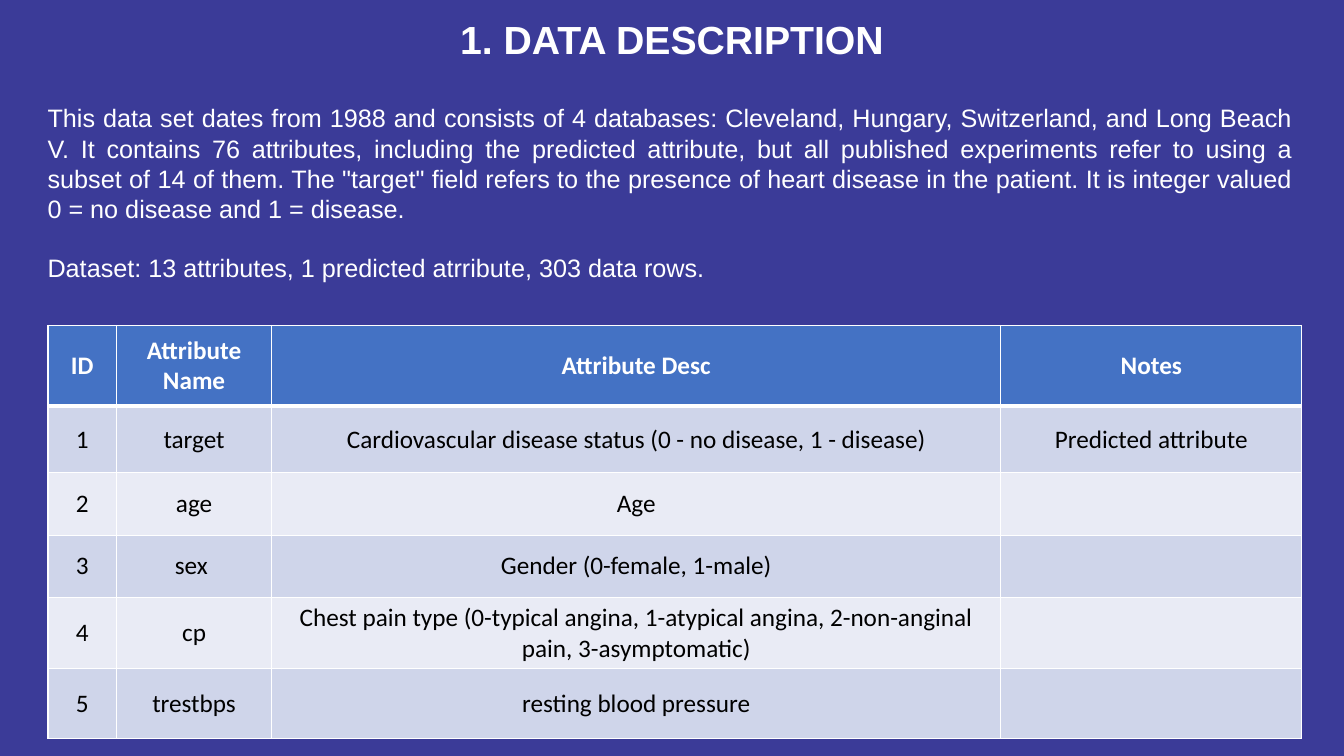
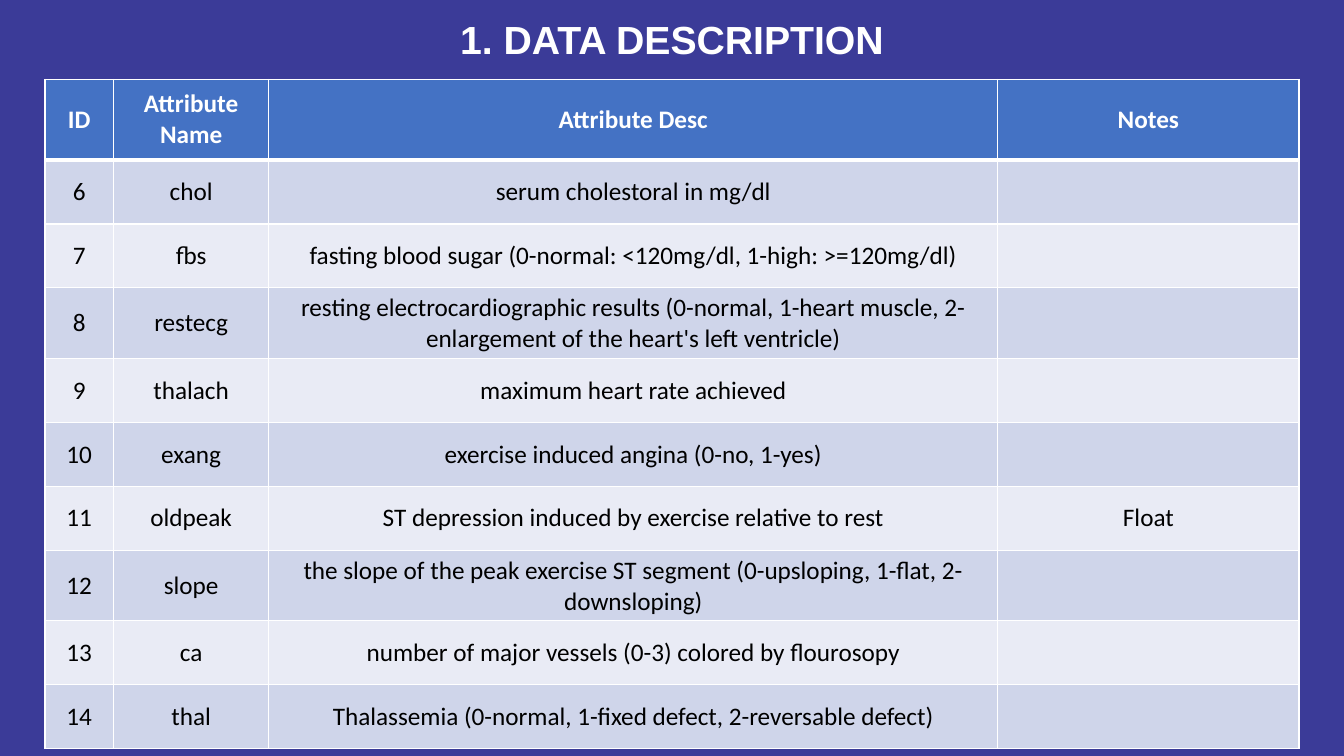
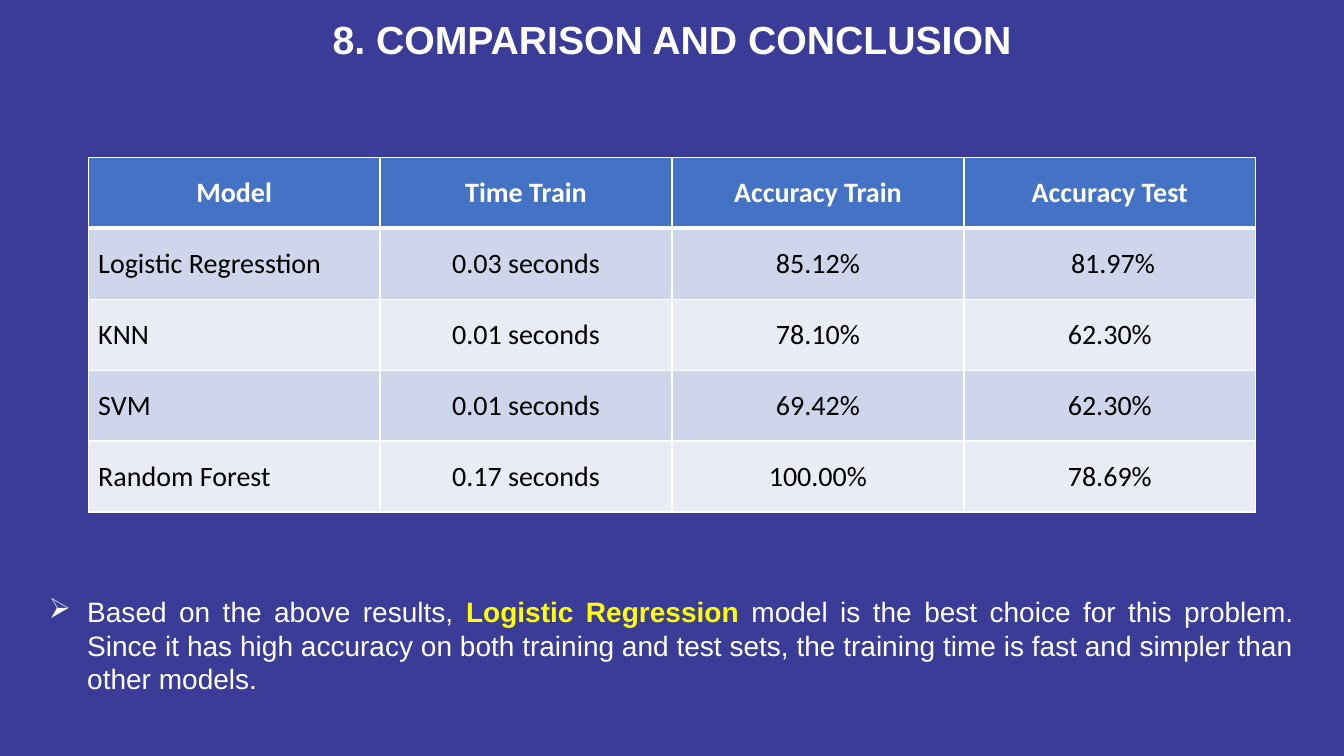
from lxml.etree import SubElement
from pptx import Presentation
from pptx.dml.color import RGBColor
from pptx.enum.text import MSO_ANCHOR, MSO_AUTO_SIZE, PP_ALIGN
from pptx.oxml.ns import qn
from pptx.util import Inches, Pt

COLOURS = {
    "background": "3B3B98",
    "white": "FFFFFF",
    "black": "000000",
    "header": "4472C4",
    "odd": "CFD5EA",
    "even": "E9EBF5",
    "highlight": "FFFF00",
}
TITLE = {"size": Pt(28), "name": "Arial", "bold": True}
BODY = {"size": Pt(18), "name": "Arial", "bold": False}
CONCLUSION = {**BODY, "size": Pt(20)}
CELL = {"size": Pt(18), "name": "Calibri", "bold": False}
LARGE_CELL = {**CELL, "size": Pt(20)}

ATTRIBUTE_HEADER = ["ID", "Attribute Name", "Attribute Desc", "Notes"]
ATTRIBUTE_COLUMNS = [5.1, 11.55, 54.25, 22.4]
HEADER_ROW = 10.67
WRAPPED_ROW = 9.33

FIRST_ATTRIBUTES = [
    ["1", "target", "Cardiovascular disease status (0 - no disease, 1 - disease)", "Predicted attribute"],
    ["2", "age", "Age", ""],
    ["3", "sex ", "Gender (0-female, 1-male)", ""],
    ["4", "cp", "Chest pain type (0-typical angina, 1-atypical angina, 2-non-anginal pain, 3-asymptomatic)", ""],
    ["5", "trestbps", "resting blood pressure", ""],
]
OTHER_ATTRIBUTES = [
    ["6", "chol", "serum cholestoral in mg/dl", ""],
    ["7", "fbs", "fasting blood sugar (0-normal: <120mg/dl, 1-high: >=120mg/dl)", ""],
    ["8", "restecg", "resting electrocardiographic results (0-normal, 1-heart muscle, "
     "2-enlargement of the heart's left ventricle)", ""],
    ["9", "thalach", "maximum heart rate achieved", ""],
    ["10", "exang", "exercise induced angina (0-no, 1-yes)", ""],
    ["11", "oldpeak", "ST depression induced by exercise relative to rest", "Float"],
    ["12", "slope", "the slope of the peak exercise ST segment (0-upsloping, 1-flat, 2-downsloping)", ""],
    ["13", "ca", "number of major vessels (0-3) colored by flourosopy", ""],
    ["14", "thal", "Thalassemia (0-normal, 1-fixed defect, 2-reversable defect)", ""],
]
MODELS = [
    ["Model", "Time Train", "Accuracy Train", "Accuracy Test"],
    ["Logistic Regresstion", "0.03 seconds", "85.12%", " 81.97%"],
    ["KNN", "0.01 seconds", "78.10%", "62.30%"],
    ["SVM", "0.01 seconds", "69.42%", "62.30%"],
    ["Random Forest", "0.17 seconds", "100.00%", "78.69%"],
]


def apply(target, formats):
    for name, value in formats.items():
        setattr(target, name, value)


def paint(fill, colour):
    fill.solid()
    fill.fore_color.rgb = RGBColor.from_string(COLOURS[colour])


class Slides:
    def __init__(self):
        self.deck = Presentation()
        apply(self.deck, {"slide_width": Inches(13.33), "slide_height": Inches(7.5)})
        paint(self.deck.slide_master.background.fill, "background")
        self.page = None

    def across(self, percent):
        return round(self.deck.slide_width * percent / 100)

    def down(self, percent):
        return round(self.deck.slide_height * percent / 100)

    def place(self, left, top, width, height):
        return self.across(left), self.down(top), self.across(width), self.down(height)

    def start(self, title):
        self.page = self.deck.slides.add_slide(self.deck.slide_layouts[6])
        self.text((0, 1.33, 100, 7.6), [[(title, "white", TITLE)]], PP_ALIGN.CENTER)

    def span(self, para, words, colour, style):
        span = para.add_run()
        span.text = words
        apply(span.font, style)
        span.font.color.rgb = RGBColor.from_string(COLOURS[colour])

    def text(self, area, paragraphs, align, gap=0):
        box = self.page.shapes.add_textbox(*self.place(*area))
        frame = box.text_frame
        apply(frame, {"word_wrap": True, "auto_size": MSO_AUTO_SIZE.SHAPE_TO_FIT_TEXT})
        for index, spans in enumerate(paragraphs):
            para = frame.add_paragraph() if index else frame.paragraphs[0]
            apply(para, {"alignment": align, "space_before": Pt(gap if index else 0)})
            for words, colour, style in spans:
                self.span(para, words, colour, style)
        return frame

    def bullet(self, para, symbol, indent):
        properties = para._p.get_or_add_pPr()
        properties.set("marL", str(Inches(indent)))
        properties.set("indent", str(-Inches(indent)))
        SubElement(properties, qn("a:buChar"), char=symbol)

    def borders(self, cell, row):
        properties = cell._tc.get_or_add_tcPr()
        widths = {"L": 1, "R": 1, "T": 3 if row == 1 else 1, "B": 3 if row == 0 else 1}
        for side, width in widths.items():
            line = SubElement(properties, qn(f"a:ln{side}"), w=str(Pt(width)))
            fill = SubElement(line, qn("a:solidFill"))
            SubElement(fill, qn("a:srgbClr"), val=COLOURS["white"])

    def table(self, left, top, columns, heights, rows, style, first_align=PP_ALIGN.CENTER):
        area = self.place(left, top, sum(columns), sum(heights))
        table = self.page.shapes.add_table(len(rows), len(columns), *area).table
        for column, width in zip(table.columns, columns):
            column.width = self.across(width)
        for row, height in zip(table.rows, heights):
            row.height = self.down(height)
        for row, values in enumerate(rows):
            band = "header" if row == 0 else ("even", "odd")[row % 2]
            for column, words in enumerate(values):
                cell = table.cell(row, column)
                cell.vertical_anchor = MSO_ANCHOR.MIDDLE
                self.borders(cell, row)
                paint(cell.fill, band)
                para = cell.text_frame.paragraphs[0]
                para.alignment = first_align if row and column == 0 else PP_ALIGN.CENTER
                if words:
                    colour = "black" if row else "white"
                    self.span(para, words, colour, {**style, "bold": row == 0})


def describe_data(slides):
    slides.start("1. DATA DESCRIPTION")
    slides.text((2.8, 12.93, 94.1, 25.6), [
        [("This data set dates from 1988 and consists of 4 databases: Cleveland, Hungary, "
          "Switzerland, and Long Beach V. It contains 76 attributes, including the predicted "
          "attribute, but all published experiments refer to using a subset of 14 of them. "
          "The \"target\" field refers to the presence of heart disease in the patient. "
          "It is integer valued 0 = no disease and 1 = disease.", "white", BODY)],
        [("Dataset: 13 attributes, 1 predicted atrribute, 303 data rows.", "white", BODY)],
    ], PP_ALIGN.JUSTIFY, gap=20.7)
    heights = [HEADER_ROW, 8.8, 8.27, 8.27, WRAPPED_ROW, WRAPPED_ROW]
    slides.table(3.57, 43.05, ATTRIBUTE_COLUMNS, heights,
                 [ATTRIBUTE_HEADER] + FIRST_ATTRIBUTES, CELL)


def list_other_attributes(slides):
    slides.start("1. DATA DESCRIPTION")
    wrapped = {"8", "12"}
    plain_count = len(OTHER_ATTRIBUTES) - len(wrapped)
    plain_row = (88.53 - HEADER_ROW - len(wrapped) * WRAPPED_ROW) / plain_count
    heights = [HEADER_ROW] + [WRAPPED_ROW if values[0] in wrapped else plain_row
                              for values in OTHER_ATTRIBUTES]
    slides.table(3.35, 10.5, ATTRIBUTE_COLUMNS, heights,
                 [ATTRIBUTE_HEADER] + OTHER_ATTRIBUTES, CELL)


def compare_models(slides):
    slides.start("8. COMPARISON AND CONCLUSION")
    columns = [21.72] * len(MODELS[0])
    slides.table((100 - sum(columns)) / 2, 20.8, columns, [9.39] * len(MODELS),
                 MODELS, LARGE_CELL, PP_ALIGN.LEFT)
    frame = slides.text((2.9, 78, 94.1, 14.8), [[
        ("Based on the above results, ", "white", CONCLUSION),
        ("Logistic Regression", "highlight", {**CONCLUSION, "bold": True}),
        (" model is the best choice for this problem. Since it has high accuracy on both "
         "training and test sets, the training time is fast and simpler than other models.",
         "white", CONCLUSION),
    ]], PP_ALIGN.JUSTIFY)
    slides.bullet(frame.paragraphs[0], "➢", 0.38)


def main():
    slides = Slides()
    describe_data(slides)
    list_other_attributes(slides)
    compare_models(slides)
    slides.deck.save("out.pptx")


if __name__ == "__main__":
    main()
